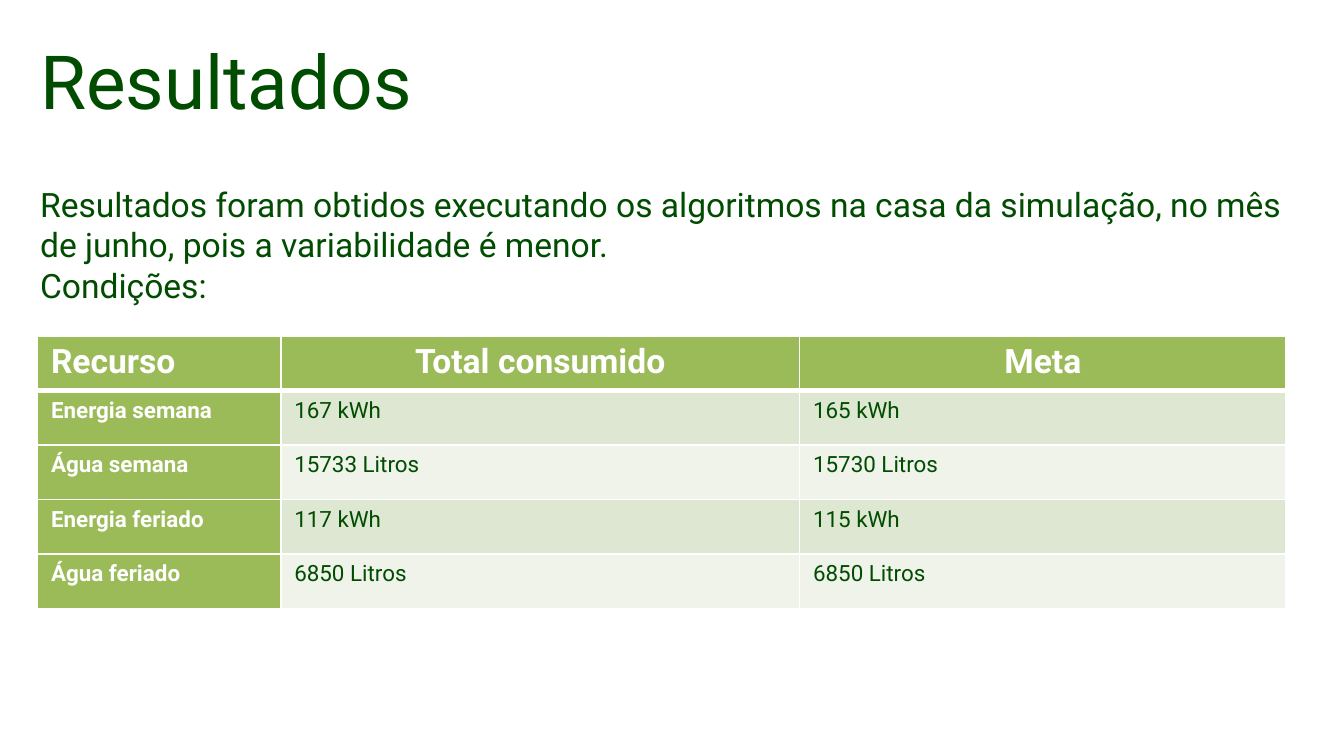
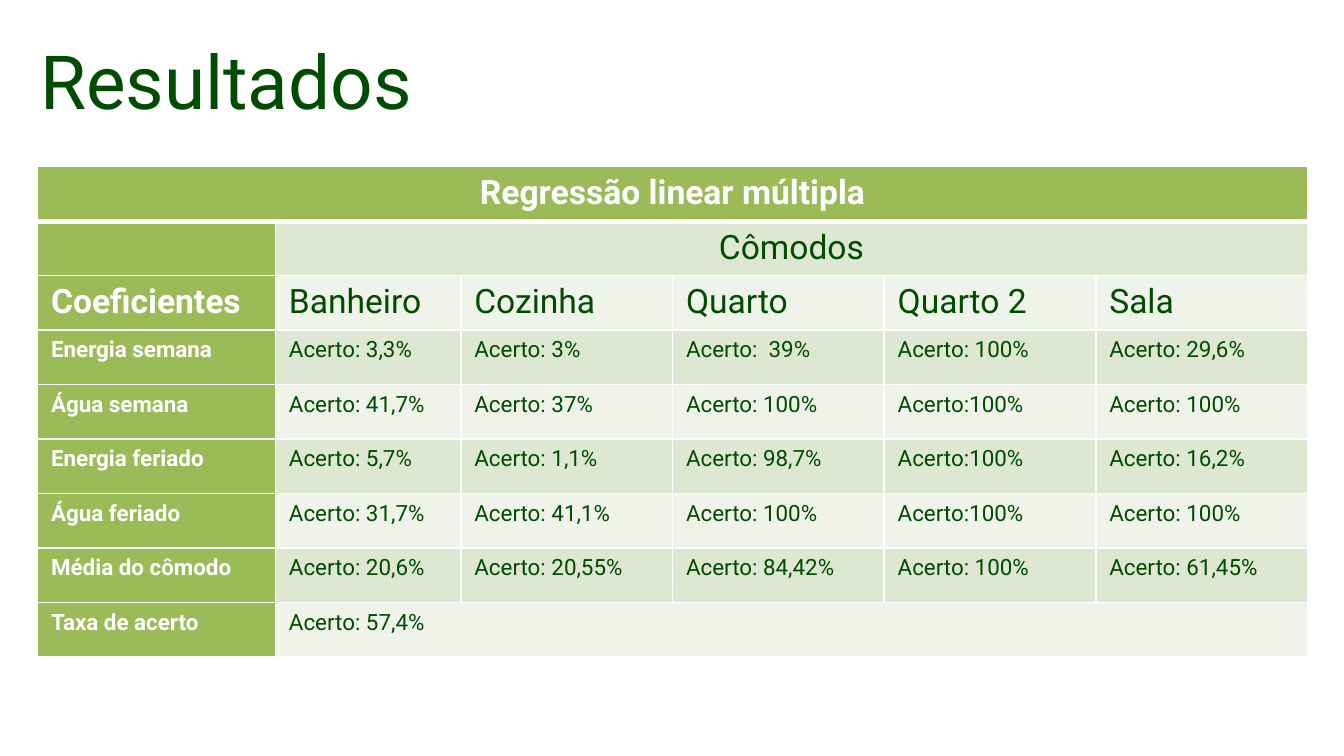
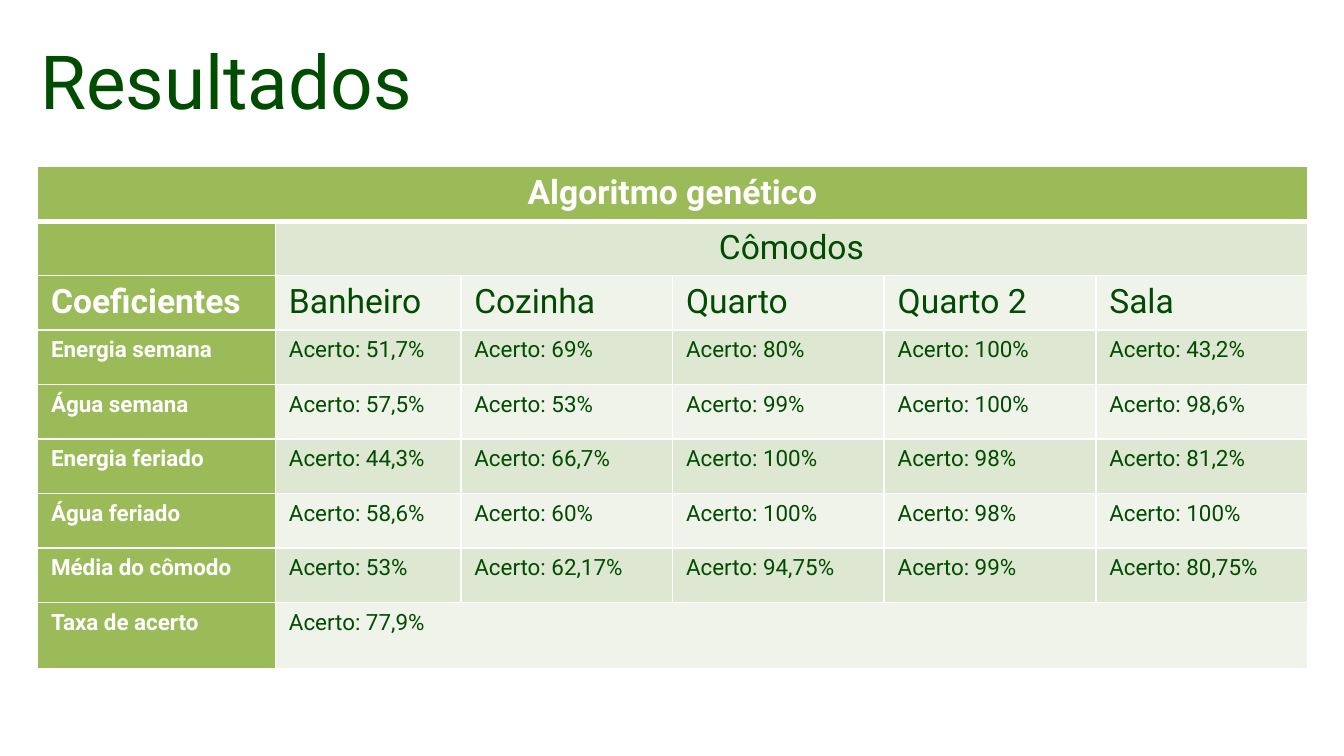
from dataclasses import dataclass

from lxml import etree
from pptx import Presentation
from pptx import util as u
from pptx.dml import color
from pptx.enum import text
from pptx.oxml import ns


@dataclass(frozen=True)
class Theme:
    font: str = "Roboto"
    ink: str = "004C00"
    head: str = "9BBB59"
    dark: str = "DEE7D1"
    pale: str = "EFF3EA"
    white: str = "FFFFFF"
    title: int = 40
    large: int = 18
    small: int = 12
    thin: int = 1
    thick: int = 3


@dataclass(frozen=True)
class Box:
    left: float
    top: float
    width: float
    height: float

    def place(self) -> tuple:
        return tuple(u.Inches(v) for v in (self.left, self.top, self.width, self.height))


@dataclass(frozen=True)
class Line:
    cells: tuple
    large: bool = False
    mid: bool = False


@dataclass(frozen=True)
class Grid:
    box: Box
    widths: tuple
    lines: tuple
    extra: float = 0


THEME = Theme()
TITLE = Box(0.2, 0.21, 3.01, 0.77)
INTRO = Box(0.2, 1.32, 9.61, 1.01)
SCORES = Box(0.28, 1.24, 9.45, 3.65)
ROOMS = ("Banheiro", "Cozinha", "Quarto", "Quarto 2", "Sala")
USES = ("Energia semana", "Água semana", "Energia feriado", "Água feriado")
NOTES = (
    "Resultados foram obtidos executando os algoritmos na casa da simulação, "
    "no mês de junho, pois a variabilidade é menor.",
    "Condições:",
)

GOALS = Grid(
    Box(0.28, 2.5, 9.29, 2.03),
    (1.81, 3.86, 3.62),
    (
        Line(("Recurso", "Total consumido", "Meta"), large=True, mid=True),
        *(Line((use, *pair)) for use, pair in zip(USES, (
            ("167 kWh", "165 kWh"),
            ("15733 Litros", "15730 Litros"),
            ("117 kWh", "115 kWh"),
            ("6850 Litros", "6850 Litros"),
        ))),
    ),
)


def score(name: str, rates: tuple, extra: float = 0) -> Grid:
    labels = (*USES, "Média do cômodo", "Taxa de acerto")
    lines = (
        Line((name,), large=True, mid=True),
        Line(("", "Cômodos"), large=True, mid=True),
        Line(("Coeficientes", *ROOMS), large=True),
        *(Line((label, *(f"Acerto:{rate}" for rate in row)))
          for label, row in zip(labels, rates)),
    )
    first, second = 1.77, 1.38
    other = (SCORES.width - first - second) / 4
    return Grid(SCORES, (first, second) + (other,) * 4, lines, extra)


LINEAR = score("Regressão linear múltipla", (
    (" 3,3%", " 3%", "  39%", " 100%", " 29,6%"),
    (" 41,7%", " 37%", " 100%", "100%", " 100%"),
    (" 5,7%", " 1,1%", " 98,7%", "100%", " 16,2%"),
    (" 31,7%", " 41,1%", " 100%", "100%", " 100%"),
    (" 20,6%", " 20,55%", " 84,42%", " 100%", " 61,45%"),
    (" 57,4%",),
))
GENES = score("Algoritmo genético", (
    (" 51,7%", " 69%", " 80%", " 100%", " 43,2%"),
    (" 57,5%", " 53%", " 99%", " 100%", " 98,6%"),
    (" 44,3%", " 66,7%", " 100%", " 98%", " 81,2%"),
    (" 58,6%", " 60%", " 100%", " 98%", " 100%"),
    (" 53%", " 62,17%", " 94,75%", " 99%", " 80,75%"),
    (" 77,9%",),
), extra=0.09)


def add_run(para, words: str, size: int, ink: str = THEME.ink, bold: bool = False) -> None:
    run = para.add_run()
    run.text = words
    run.font.name = THEME.font
    run.font.size = u.Pt(size)
    run.font.bold = bold
    run.font.color.rgb = color.RGBColor.from_string(ink)


def add_edge(cell, side: str, width: int) -> None:
    edge = etree.SubElement(cell._tc.get_or_add_tcPr(), ns.qn(f"a:ln{side}"), w=str(u.Pt(width)))
    fill = etree.SubElement(edge, ns.qn("a:solidFill"))
    etree.SubElement(fill, ns.qn("a:srgbClr"), val=THEME.white)


def style_cell(cell, row: int, col: int) -> None:
    for side in "LRTB":
        heavy = (row, side) in ((0, "B"), (1, "T"))
        add_edge(cell, side, THEME.thick if heavy else THEME.thin)
    band = THEME.dark if row % 2 else THEME.pale
    tint = band if row and col else THEME.head
    cell.fill.solid()
    cell.fill.fore_color.rgb = color.RGBColor.from_string(tint)


def fill_line(table, row: int, line: Line) -> None:
    end = len(table.columns) - 1
    last = len(line.cells) - 1
    for col in range(end + 1):
        style_cell(table.cell(row, col), row, col)
    if last < end:
        table.cell(row, last).merge(table.cell(row, end))
    for col, words in enumerate(line.cells):
        if not words:
            continue
        para = table.cell(row, col).text_frame.paragraphs[0]
        if line.mid and (col or last == 0):
            para.alignment = text.PP_ALIGN.CENTER
        label = row == 0 or col == 0
        add_run(para, words, THEME.large if line.large else THEME.small,
                THEME.white if label else THEME.ink, label)


def add_grid(slide, grid: Grid) -> None:
    frame = slide.shapes.add_table(len(grid.lines), len(grid.widths), *grid.box.place())
    table = frame.table
    table.first_row = table.horz_banding = False
    for column, width in zip(table.columns, grid.widths):
        column.width = u.Inches(width)
    table.rows[len(grid.lines) - 1].height += u.Inches(grid.extra)
    for row, line in enumerate(grid.lines):
        fill_line(table, row, line)


def add_slide(deck):
    slide = deck.slides.add_slide(deck.slide_layouts[5])
    title = slide.shapes.title
    title.left, title.top, title.width, title.height = TITLE.place()
    frame = title.text_frame
    frame.word_wrap = False
    frame.auto_size = text.MSO_AUTO_SIZE.SHAPE_TO_FIT_TEXT
    frame.vertical_anchor = text.MSO_ANCHOR.TOP
    para = frame.paragraphs[0]
    para.alignment = text.PP_ALIGN.LEFT
    add_run(para, "Resultados", THEME.title)
    return slide


def add_notes(slide, box: Box, notes: tuple) -> None:
    frame = slide.shapes.add_textbox(*box.place()).text_frame
    frame.word_wrap = True
    frame.auto_size = text.MSO_AUTO_SIZE.SHAPE_TO_FIT_TEXT
    for place, words in enumerate(notes):
        para = frame.add_paragraph() if place else frame.paragraphs[0]
        add_run(para, words, THEME.large)


def main() -> None:
    deck = Presentation()
    deck.slide_width = u.Inches(10)
    deck.slide_height = deck.slide_width * 9 // 16
    first = add_slide(deck)
    add_notes(first, INTRO, NOTES)
    add_grid(first, GOALS)
    for grid in (LINEAR, GENES):
        add_grid(add_slide(deck), grid)
    deck.save("out.pptx")


if __name__ == "__main__":
    main()
